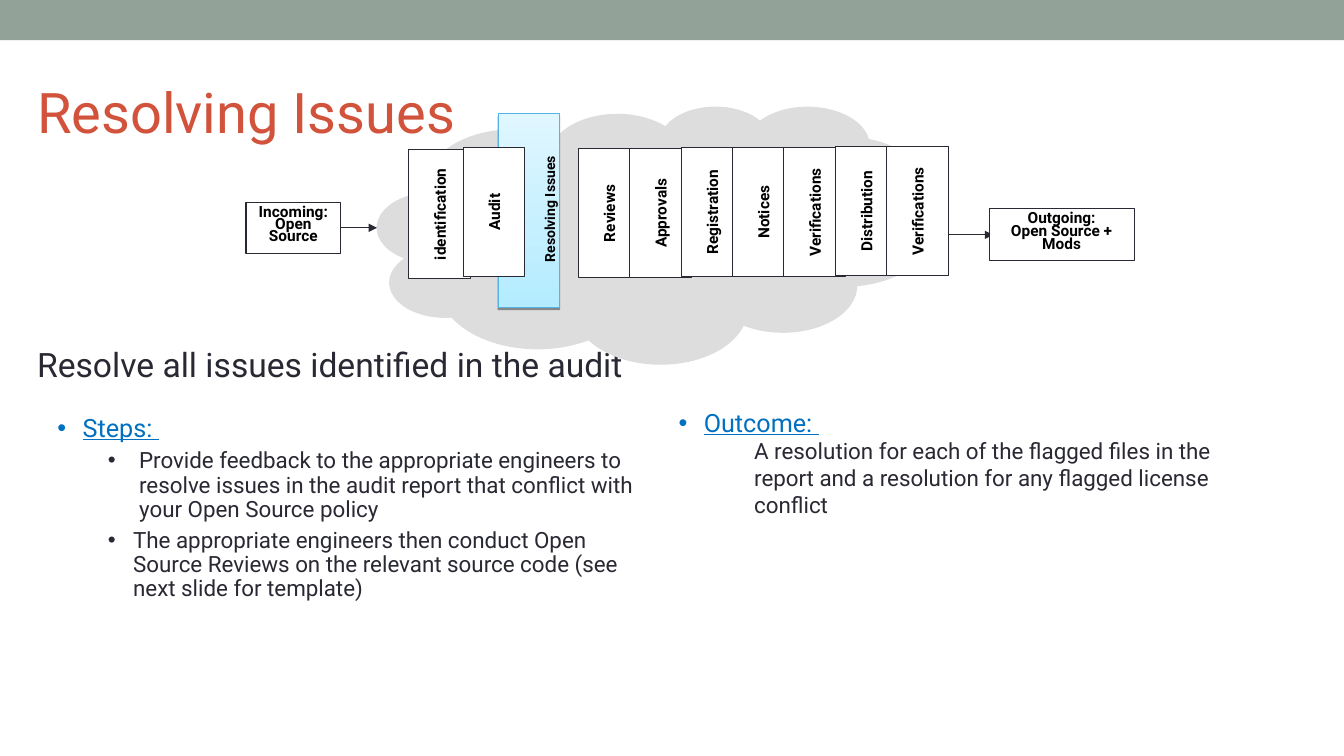
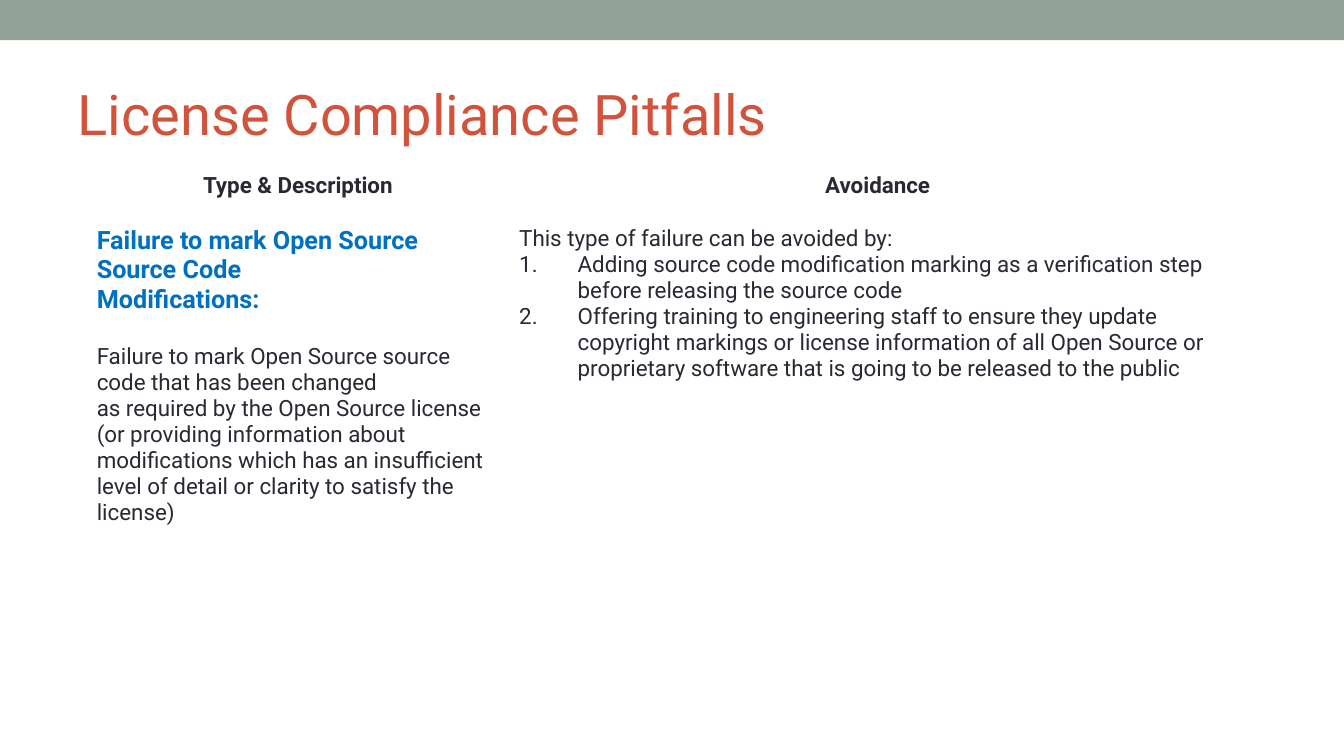
from dataclasses import dataclass

from lxml.etree import SubElement
from pptx import Presentation
from pptx.dml.color import RGBColor
from pptx.enum.shapes import MSO_CONNECTOR, MSO_SHAPE
from pptx.enum.text import MSO_ANCHOR, MSO_AUTO_SIZE, PP_ALIGN
from pptx.oxml.ns import qn
from pptx.util import Inches, Pt

COLORS = {
    "band": "93A299", "title": "D2533C", "text": "292934", "accent": "0070C0",
    "black": "000000", "white": "FFFFFF", "cloud": "DDDDDD",
    "active_top": "E0F7FF", "active_bottom": "B4EBFF", "active_line": "55B4E5",
}
FONT = "Roboto"
LINE_WIDTH = 0.74


@dataclass
class Text:
    text: str
    size: float = 16
    color: str = "text"
    bold: bool = False
    underline: bool = False
    align: PP_ALIGN = PP_ALIGN.LEFT
    line_spacing: float = 1.0
    before: float = 0
    margin: float = 0
    indent: float = 0
    bullet: str = ""  # a bullet character, or "1." for automatic numbers
    level: int = 0


def heading(text):
    return Text(text, 18, "accent", underline=True, line_spacing=0.9,
                margin=0.25, indent=-0.25, bullet="•")


def step(text, margin, indent):
    return Text(text, line_spacing=0.9, before=5, margin=margin, indent=indent,
                bullet="•", level=1)


def label(text, size=11, line_spacing=1.0):
    return Text(text, size, "black", bold=True, align=PP_ALIGN.CENTER,
                line_spacing=line_spacing)


def column_head(text, hang):
    return Text(text, bold=True, align=PP_ALIGN.CENTER, margin=hang, indent=-hang)


def hanging(text, bullet=""):
    return Text(text, margin=0.58, indent=-0.58, bullet=bullet)


def pitfall(text):
    return Text(text, 18, "accent", bold=True)


# Content: resolving issues
SUBTITLE = [Text("Resolve all issues identified in the audit", 24)]
STEPS = [
    heading("Steps: "),
    step("Provide feedback to the appropriate engineers to resolve issues in the audit "
         "report that conflict with your Open Source policy", 0.81, -0.31),
    step("The appropriate engineers then conduct Open Source Reviews on the relevant "
         "source code (see next slide for template)", 0.75, -0.25),
]
OUTCOME = [
    heading("Outcome: "),
    Text("A resolution for each of the flagged files in the report and a resolution "
         "for any flagged license conflict", margin=0.75),
]
INCOMING = [label("Incoming:", line_spacing=0.65), label("Open Source", line_spacing=0.65)]
OUTGOING = [label("Outgoing:", line_spacing=0.7),
            label("Open Source + Mods", line_spacing=0.7)]
# Gate label and top of its box before rotation
GATES_BEFORE = [("identification", 1.82), ("Audit", 1.80)]
GATES_AFTER = [("Reviews", 1.81), ("Approvals", 1.81), ("Registration", 1.80),
               ("Notices", 1.80), ("Verifications", 1.80), ("Distribution", 1.79),
               ("Verifications", 1.79)]

# Content: license compliance pitfalls
TABLE_COLUMNS = [4.19, 7.31]
TABLE_ROWS = [0.53, 4.48]
TABLE_CELLS = [
    [[column_head("Type & Description", 0.38)], [column_head("Avoidance", 0.58)]],
    [
        [
            pitfall("Failure to mark Open Source"),
            pitfall("Source Code"),
            pitfall("Modifications:"),
            Text("Failure to mark Open Source source", before=21),
            Text("code that has been changed"),
            Text("as required by the Open Source license (or providing information about "
                 "modifications which has an insufficient level of detail or clarity to "
                 "satisfy the license)"),
        ],
        [
            hanging("This type of failure can be avoided by:"),
            hanging("Adding source code modification marking as a verification step "
                    "before releasing the source code", "1."),
            hanging("Offering training to engineering staff to ensure they update "
                    "copyright markings or license information of all Open Source or "
                    "proprietary software that is going to be released to the public", "1."),
        ],
    ],
]


def rgb(name):
    return RGBColor.from_string(COLORS[name])


def set_bullet(paragraph, item):
    properties = paragraph._p.get_or_add_pPr()
    properties.set("marL", str(Inches(item.margin)))
    properties.set("indent", str(Inches(item.indent)))
    if not item.bullet:
        SubElement(properties, qn("a:buNone"))
        return
    color = SubElement(properties, qn("a:buClr"))
    SubElement(color, qn("a:srgbClr"), val=COLORS[item.color])
    if item.bullet == "1.":
        SubElement(properties, qn("a:buAutoNum"), type="arabicPeriod")
    else:
        SubElement(properties, qn("a:buFont"), typeface="Arial")
        SubElement(properties, qn("a:buChar"), char=item.bullet)


def write(text_frame, items):
    text_frame.word_wrap = True
    for index, item in enumerate(items):
        paragraph = text_frame.add_paragraph() if index else text_frame.paragraphs[0]
        paragraph.level = item.level
        paragraph.alignment = item.align
        paragraph.line_spacing = item.line_spacing
        paragraph.space_before = Pt(item.before)
        paragraph.space_after = Pt(0)
        set_bullet(paragraph, item)
        run = paragraph.add_run()
        run.text = item.text
        run.font.name = FONT
        run.font.size = Pt(item.size)
        run.font.bold = item.bold
        run.font.underline = item.underline
        run.font.color.rgb = rgb(item.color)


def fill_placeholder(placeholder, box, items, anchor=MSO_ANCHOR.TOP):
    (placeholder.left, placeholder.top,
     placeholder.width, placeholder.height) = map(Inches, box)
    text_frame = placeholder.text_frame
    text_frame.auto_size = MSO_AUTO_SIZE.NONE
    text_frame.vertical_anchor = anchor
    write(text_frame, items)


def set_title(slide, left, top, text):
    fill_placeholder(slide.shapes.title, (left, top, 12, 1.08),
                     [Text(text, 40, "title")], MSO_ANCHOR.MIDDLE)


def add_text(slide, box, items, rotation=0, anchor=MSO_ANCHOR.TOP):
    text_box = slide.shapes.add_textbox(*map(Inches, box))
    text_box.rotation = rotation
    text_box.text_frame.vertical_anchor = anchor
    write(text_box.text_frame, items)


def add_block(slide, kind, box, fill, line=None):
    shape = slide.shapes.add_shape(kind, *map(Inches, box))
    shape.shadow.inherit = False
    shape.fill.solid()
    shape.fill.fore_color.rgb = rgb(fill)
    if line:
        shape.line.color.rgb = rgb(line)
        shape.line.width = Pt(LINE_WIDTH)
    else:
        shape.line.fill.background()
    return shape


def add_label_box(slide, box, items, rotation=0, anchor=MSO_ANCHOR.TOP):
    shape = add_block(slide, MSO_SHAPE.RECTANGLE, box, "white", "text")
    shape.rotation = rotation
    shape.text_frame.vertical_anchor = anchor
    write(shape.text_frame, items)


def add_arrow(slide, start, end, y):
    arrow = slide.shapes.add_connector(
        MSO_CONNECTOR.STRAIGHT, Inches(start), Inches(y), Inches(end), Inches(y))
    arrow.line.color.rgb = rgb("text")
    arrow.line.width = Pt(LINE_WIDTH)
    SubElement(arrow.line._get_or_add_ln(), qn("a:tailEnd"), type="triangle")
    SubElement(arrow._element.spPr, qn("a:effectLst"))


def add_active_gate(slide, box):
    gate = add_block(slide, MSO_SHAPE.RECTANGLE, box, "white", "active_line")
    gate.fill.gradient()
    gate.fill.gradient_angle = 270
    for stop, color in zip(gate.fill.gradient_stops, ("active_top", "active_bottom")):
        stop.color.rgb = rgb(color)
    effects = gate._element.spPr.find(qn("a:effectLst"))
    shadow = SubElement(effects, qn("a:outerShdw"), dist=str(Pt(1.6)), dir="5400000",
                        rotWithShape="0")
    color = SubElement(shadow, qn("a:srgbClr"), val=COLORS["black"])
    SubElement(color, qn("a:alpha"), val="38000")


presentation = Presentation()
presentation.slide_width = Inches(13.33)
presentation.slide_height = Inches(7.5)
two_content, title_only = (presentation.slide_layouts[index] for index in (3, 5))

# Resolving issues: headings and lists
slide = presentation.slides.add_slide(two_content)

# Shared band, moved to the back of the slide master
band = add_block(slide, MSO_SHAPE.RECTANGLE, (0, 0, 13.33, 0.4), "band")
presentation.slide_master.shapes.element.insert(2, band.element)

set_title(slide, 0.27, 0.56, "Resolving Issues")
fill_placeholder(slide.placeholders[1], (0.47, 4.07, 6.05, 2.86), STEPS)
fill_placeholder(slide.placeholders[2], (6.63, 4.02, 6.02, 2.52), OUTCOME)
add_text(slide, (0.27, 3.36, 7.92, 0.5), SUBTITLE)

# Process cloud with its gates
cloud = add_block(slide, MSO_SHAPE.CLOUD_CALLOUT, (3.74, 1.05, 5.5, 2.56), "cloud")
cloud.adjustments[0], cloud.adjustments[1] = -0.246, 0.157
add_arrow(slide, 9.24, 9.85, 2.33)
add_active_gate(slide, (4.94, 1.13, 0.61, 1.92))
add_text(slide, (4.49, 1.77, 1.92, 0.61), [label("Resolving Issues", 10)],
         270, MSO_ANCHOR.MIDDLE)
for gates, first_left, pitch in ((GATES_BEFORE, 3.72, 0.54), (GATES_AFTER, 5.4, 0.51)):
    for index, (name, top) in enumerate(gates):
        add_label_box(slide, (first_left + index * pitch, top, 1.28, 0.61),
                      [label(name)], 270, MSO_ANCHOR.MIDDLE)

# Process input and output
add_label_box(slide, (2.44, 2.01, 0.94, 0.51), INCOMING)
add_arrow(slide, 3.38, 3.74, 2.26)
add_label_box(slide, (9.81, 2.07, 1.44, 0.51), OUTGOING)

# License compliance pitfalls: title and table
slide = presentation.slides.add_slide(title_only)
set_title(slide, 0.67, 0.58, "License Compliance Pitfalls")
table = slide.shapes.add_table(
    len(TABLE_ROWS), len(TABLE_COLUMNS), Inches(0.86), Inches(1.66),
    Inches(sum(TABLE_COLUMNS)), Inches(sum(TABLE_ROWS))).table
for column, width in zip(table.columns, TABLE_COLUMNS):
    column.width = Inches(width)
for row, height, contents in zip(table.rows, TABLE_ROWS, TABLE_CELLS):
    row.height = Inches(height)
    for cell, items in zip(row.cells, contents):
        cell.fill.solid()
        cell.fill.fore_color.rgb = rgb("white")
        write(cell.text_frame, items)

presentation.save("out.pptx")
